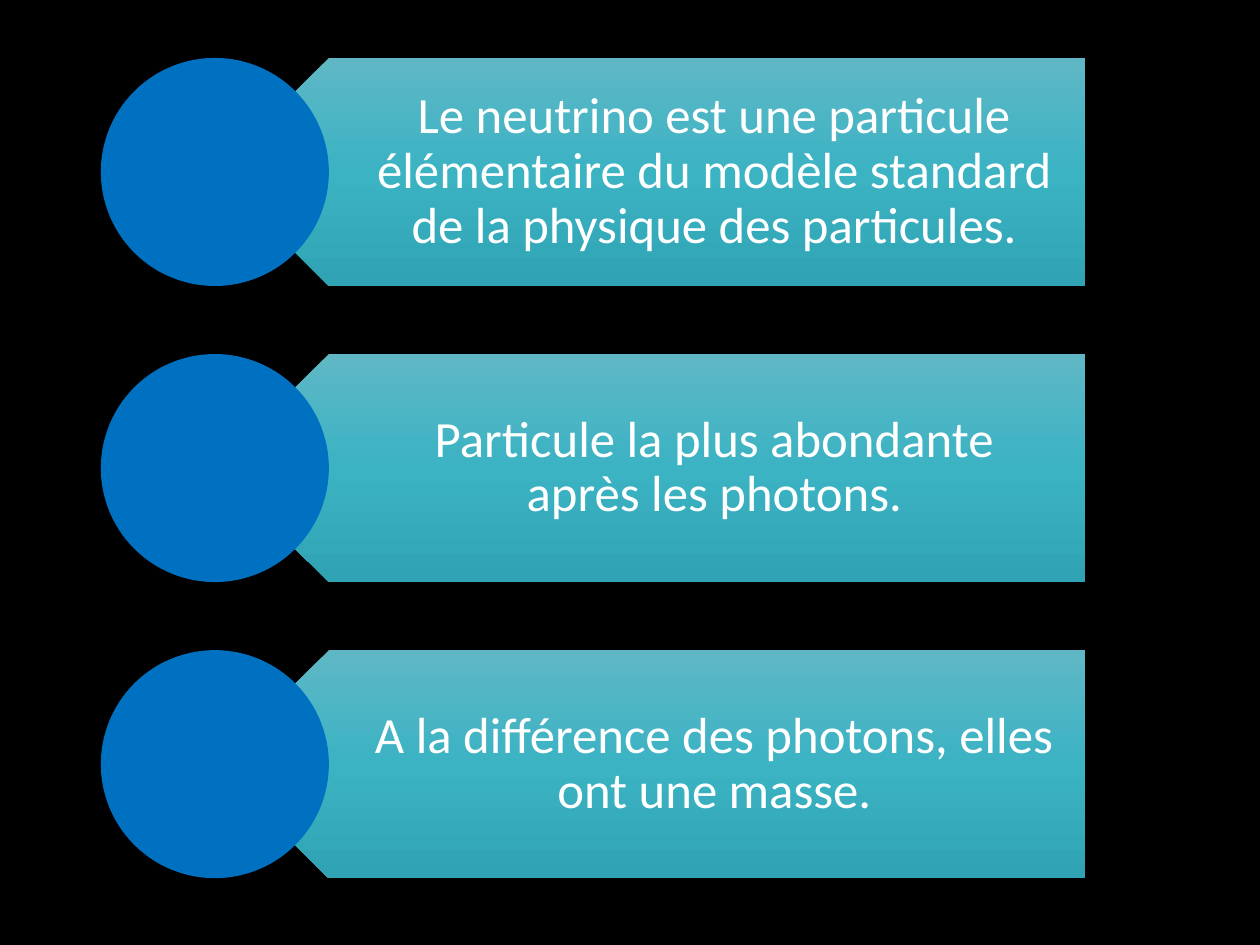
from lxml import etree
from pptx import Presentation
from pptx.dml.color import RGBColor
from pptx.enum.shapes import MSO_SHAPE
from pptx.enum.text import MSO_ANCHOR, PP_ALIGN
from pptx.oxml.ns import qn
from pptx.util import Inches, Pt

PENTAGON = MSO_SHAPE.PENTAGON
OVAL = MSO_SHAPE.OVAL
MIDDLE = MSO_ANCHOR.MIDDLE
CENTER = PP_ALIGN.CENTER

FACTS = [
    "Le neutrino est une particule élémentaire du modèle standard de la physique des particules.",
    "Particule la plus abondante après les photons.",
    "A la différence des photons, elles ont une masse.",
]
TEAL_STOPS = [(0, "5FB7C5"), (50, "3BB3C3"), (100, "2FA3B3")]
BLUE, WHITE, BLACK = "0070C0", "FFFFFF", "000000"

SIZE = 1.81
FIRST_TOP = 0.46
PITCH = 2.35
CIRCLE_LEFT = 0.8
BANNER_LEFT = CIRCLE_LEFT + SIZE / 2
BANNER_WIDTH = 6.91
TEXT_INDENT = SIZE / 4


def color(value):
    return RGBColor.from_string(value)


def fill_gradient(shape, stops):
    shape.fill.gradient()
    gradient = shape._element.spPr.find(qn("a:gradFill"))
    gradient.set("rotWithShape", "0")
    for child in list(gradient):
        gradient.remove(child)
    stop_list = etree.SubElement(gradient, qn("a:gsLst"))
    for position, value in stops:
        stop = etree.SubElement(stop_list, qn("a:gs"), pos=str(position * 1000))
        etree.SubElement(stop, qn("a:srgbClr"), val=value)
    etree.SubElement(gradient, qn("a:lin"), ang="5400000", scaled="0")


def add_plain_shape(group, kind, left, top, width):
    shape = group.shapes.add_shape(
        kind, Inches(left), Inches(top), Inches(width), Inches(SIZE)
    )
    shape.shadow.inherit = False
    shape.line.fill.background()
    return shape


def add_banner(group, top):
    banner = add_plain_shape(group, PENTAGON, BANNER_LEFT, top, BANNER_WIDTH)
    banner.rotation = 180
    fill_gradient(banner, TEAL_STOPS)


def add_circle(group, top):
    circle = add_plain_shape(group, OVAL, CIRCLE_LEFT, top, SIZE)
    circle.fill.solid()
    circle.fill.fore_color.rgb = color(BLUE)


def add_fact(group, top, text):
    box = group.shapes.add_textbox(
        Inches(BANNER_LEFT + TEXT_INDENT), Inches(top),
        Inches(BANNER_WIDTH - TEXT_INDENT), Inches(SIZE),
    )
    frame = box.text_frame
    frame.word_wrap = True
    frame.vertical_anchor = MIDDLE
    frame.margin_left, frame.margin_right = Inches(0.8), Inches(0.23)
    frame.margin_top = frame.margin_bottom = Inches(0.12)
    para = frame.paragraphs[0]
    para.alignment = CENTER
    para.line_spacing = 0.9
    span = para.add_run()
    span.text = text
    span.font.name = "Calibri"
    span.font.size = Pt(29)
    span.font.color.rgb = color(WHITE)


def main():
    deck = Presentation()
    deck.slide_width, deck.slide_height = Inches(10), Inches(7.5)
    page = deck.slides.add_slide(deck.slide_layouts[6])
    page.background.fill.solid()
    page.background.fill.fore_color.rgb = color(BLACK)
    group = page.shapes.add_group_shape()
    for row, text in enumerate(FACTS):
        top = FIRST_TOP + row * PITCH
        add_banner(group, top)
        add_fact(group, top, text)
        add_circle(group, top)
    deck.save("out.pptx")


if __name__ == "__main__":
    main()
